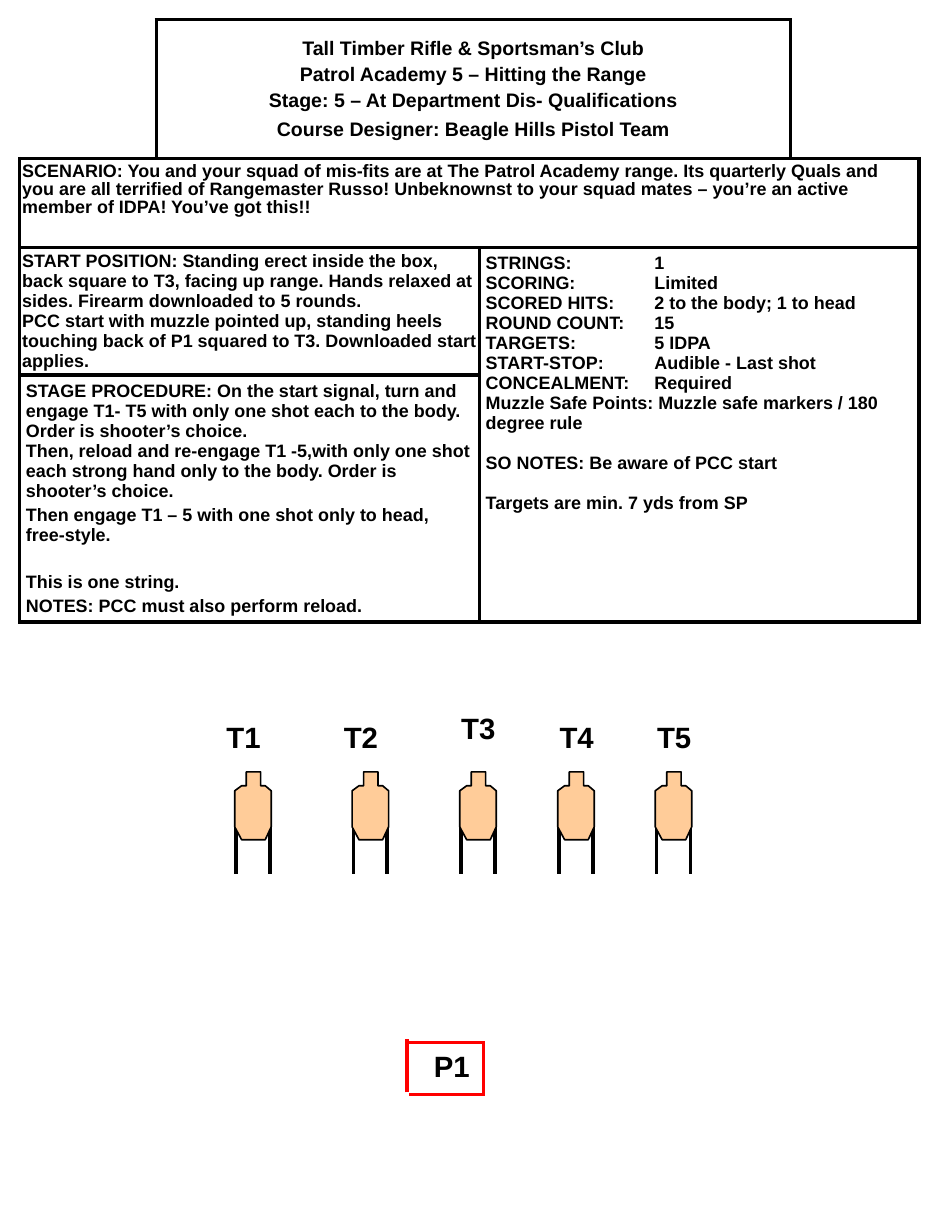
"""Build a one-page course-of-fire sheet with a briefing table and a range layout."""
from lxml.etree import SubElement
from pptx import Presentation
from pptx.dml.color import RGBColor
from pptx.enum.shapes import MSO_CONNECTOR as Line
from pptx.enum.text import MSO_ANCHOR as Anchor, PP_ALIGN as Align
from pptx.oxml.ns import qn
from pptx.util import Cm, Pt

COLORS = {"ink": "000000", "paper": "FFFFFF", "cardboard": "FFCC99", "box": "FF0000"}
FONT = "Arial"
COLUMNS = [2.95, 7.0, 6.73, 2.78]
ROWS = [3, 1.93, 2.76, 5.3]

HEADER = [
    ("Tall Timber Rifle & Sportsman’s Club", 0),
    ("Patrol Academy 5 – Hitting the Range", 2.5),
    ("Stage: 5 – At Department Dis- Qualifications", 2.5),
    ("Course Designer: Beagle Hills Pistol Team", 4.3),
]
SCENARIO = [(
    "SCENARIO: You and your squad of mis-fits are at The Patrol Academy range. "
    "Its quarterly Quals and you are all terrified of Rangemaster Russo! Unbeknownst "
    "to your squad mates – you’re an active member of IDPA! You’ve got this!!", 0)]
START = [
    ("START POSITION: Standing erect inside the box, back square to T3, facing up range. "
     "Hands relaxed at sides. Firearm downloaded to 5 rounds.", 0),
    ("PCC start with muzzle pointed up, standing heels touching back of P1 squared to T3. "
     "Downloaded start applies.", 0),
]
RULES = [
    ("STRINGS:\t1", 0),
    ("SCORING:\tLimited", 0),
    ("SCORED HITS:\t2 to the body; 1 to head", 0),
    ("ROUND COUNT:\t15", 0),
    ("TARGETS:\t5 IDPA", 0),
    ("START-STOP:\tAudible - Last shot", 0),
    ("CONCEALMENT:\tRequired", 0),
    ("Muzzle Safe Points: Muzzle safe markers / 180 degree rule", 0),
    ("SO NOTES: Be aware of PCC start", 12.2),
    ("Targets are min. 7 yds from SP", 12.2),
]
PROCEDURE = [
    ("STAGE PROCEDURE: On the start signal, turn and engage T1- T5 with only one shot each "
     "to the body. Order is shooter’s choice.\nThen, reload and re-engage T1 -5,with only "
     "one shot each strong hand only to the body. Order is shooter’s choice.", 0),
    ("Then engage T1 – 5 with one shot only to head, free-style.", 2.5),
    ("This is one string.", 16.7),
    ("NOTES: PCC must also perform reload.", 2.5),
]

TARGET_TOP = 16.71
SILHOUETTE = [(0.25, 0), (0.56, 0), (0.56, 0.3), (0.66, 0.3), (0.79, 0.41), (0.79, 1.19),
              (0.66, 1.47), (0.15, 1.47), (0, 1.19), (0, 0.41), (0.15, 0.3), (0.25, 0.3)]
TARGETS = [("T1", 5.08, 4.65, 15.44), ("T2", 7.62, 7.19, 15.44), ("T3", 9.95, 9.73, 15.24),
           ("T4", 12.07, 11.86, 15.44), ("T5", 14.18, 13.97, 15.44)]
START_BOX = [(10.49, 22.56, 8.84, 22.56), (10.49, 23.7, 8.84, 23.7),
             (8.81, 23.65, 8.81, 22.5), (10.46, 23.7, 10.46, 22.56)]


def color(name):
    return RGBColor.from_string(COLORS[name])


def style_runs(paragraph, size):
    for run in paragraph.runs:
        run.font.name = FONT
        run.font.size = Pt(size)
        run.font.bold = True
        run.font.color.rgb = color("ink")


def border_cell(cell, sides):
    properties = cell._tc.get_or_add_tcPr()
    for side in "LRTB":
        edge = SubElement(properties, qn(f"a:ln{side}"), w=str(Pt(2.25)))
        if side in sides:
            fill = SubElement(edge, qn("a:solidFill"))
            SubElement(fill, qn("a:srgbClr"), val=COLORS["ink"])
        else:
            SubElement(edge, qn("a:noFill"))


def write_cell(cell, lines, inset, size=11, align=Align.LEFT, spacing=None, tab=None):
    cell.margin_left = cell.margin_right = Cm(inset[0])
    cell.margin_top = cell.margin_bottom = Cm(inset[1])
    frame = cell.text_frame
    for index, (text, before) in enumerate(lines):
        paragraph = frame.add_paragraph() if index else frame.paragraphs[0]
        paragraph.text = text
        if tab and "\t" in text:
            stops = SubElement(paragraph._p.get_or_add_pPr(), qn("a:tabLst"))
            SubElement(stops, qn("a:tab"), pos=str(Cm(tab)), algn="l")
        paragraph.alignment = align
        paragraph.space_before = Pt(before)
        if spacing:
            paragraph.line_spacing = spacing
        style_runs(paragraph, size)


def add_briefing(slide):
    table = slide.shapes.add_table(len(ROWS), len(COLUMNS), Cm(0.43), Cm(0.43),
                                   Cm(sum(COLUMNS)), Cm(sum(ROWS))).table
    table.first_row = table.horz_banding = False
    for column, width in zip(table.columns, COLUMNS):
        column.width = Cm(width)
    for row, height in zip(table.rows, ROWS):
        row.height = Cm(height)
    corners = {(0, 0): "RB", (0, 3): "LB"}
    for row in range(len(ROWS)):
        for column in range(len(COLUMNS)):
            cell = table.cell(row, column)
            border_cell(cell, corners.get((row, column), "LRTB"))
            cell.fill.solid()
            cell.fill.fore_color.rgb = color("paper")
    for first, last in [((0, 1), (0, 2)), ((1, 0), (1, 3)), ((2, 0), (2, 1)),
                        ((2, 2), (3, 3)), ((3, 0), (3, 1))]:
        table.cell(*first).merge(table.cell(*last))
    wide = (0.13, 0.13)
    write_cell(table.cell(0, 1), HEADER, wide, size=12, align=Align.CENTER)
    table.cell(0, 1).vertical_anchor = Anchor.MIDDLE
    write_cell(table.cell(1, 0), SCENARIO, (0.05, 0.1), spacing=0.9)
    write_cell(table.cell(2, 0), START, (0.05, 0.08))
    write_cell(table.cell(2, 2), RULES, wide, tab=3.65)
    write_cell(table.cell(3, 0), PROCEDURE, wide)


def add_line(shapes, ends, name, width):
    line = shapes.add_connector(Line.STRAIGHT, *(Cm(end) for end in ends))
    line.line.color.rgb = color(name)
    line.line.width = Pt(width)
    SubElement(line._element.spPr, qn("a:effectLst"))


def add_target(slide, left):
    target = slide.shapes.add_group_shape().shapes
    for offset in (0.03, 0.76):
        add_line(target, (left + offset, 17.81, left + offset, 18.92), "ink", 2.25)
    points = [(Cm(left + x), Cm(TARGET_TOP + y)) for x, y in SILHOUETTE]
    builder = target.build_freeform(*points[0])
    builder.add_line_segments(points[1:], close=True)
    body = builder.convert_to_shape()
    body.shadow.inherit = False
    body.fill.solid()
    body.fill.fore_color.rgb = color("cardboard")
    body.line.color.rgb = color("ink")
    body.line.width = Pt(1)


def add_label(slide, text, left, top):
    frame = slide.shapes.add_textbox(Cm(left), Cm(top), Cm(1.47), Cm(1.02)).text_frame
    frame.word_wrap = True
    frame.text = text
    style_runs(frame.paragraphs[0], 18)


def main():
    deck = Presentation()
    deck.slide_width, deck.slide_height = Cm(20.32), Cm(26.67)
    slide = deck.slides.add_slide(deck.slide_layouts[6])
    add_briefing(slide)
    for name, left, label_left, label_top in TARGETS:
        add_target(slide, left)
        add_label(slide, name, label_left, label_top)
    for ends in START_BOX:
        add_line(slide.shapes, ends, "box", 2)
    add_label(slide, "P1", 9.14, 22.56)
    deck.save("out.pptx")


if __name__ == "__main__":
    main()
